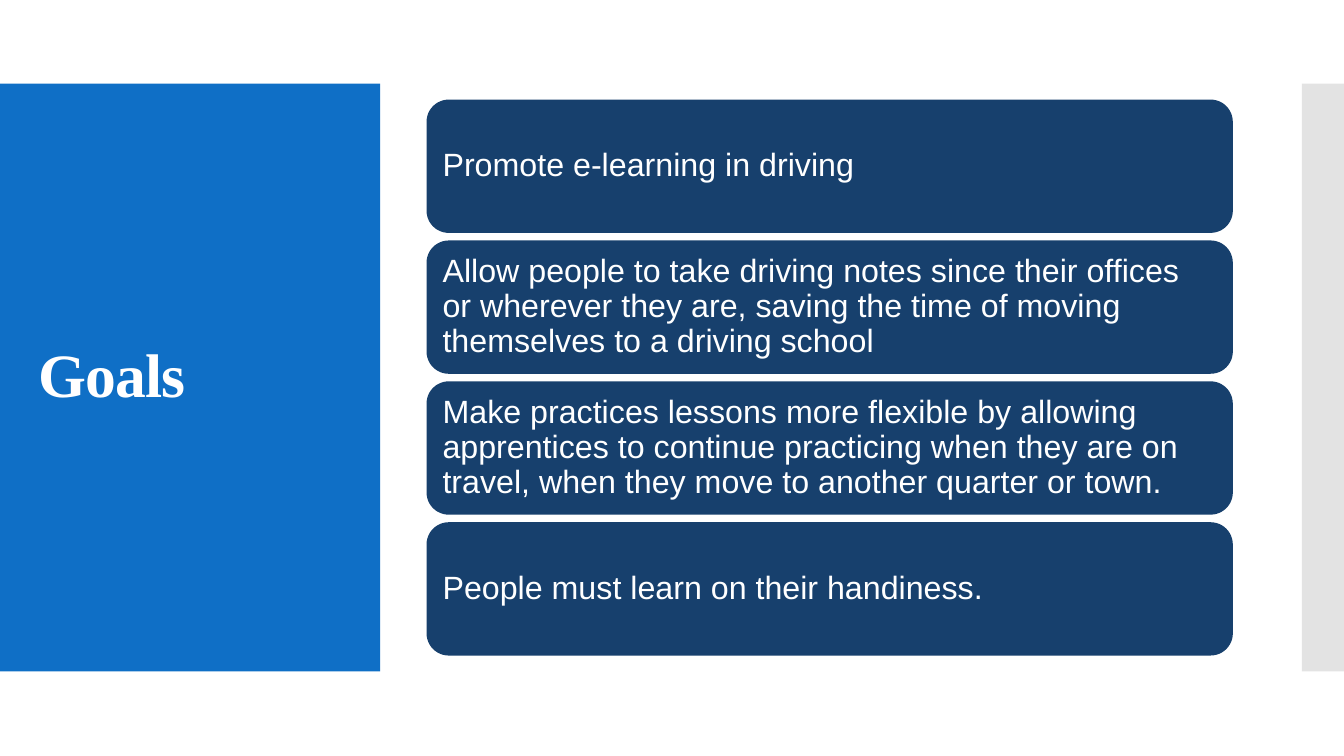
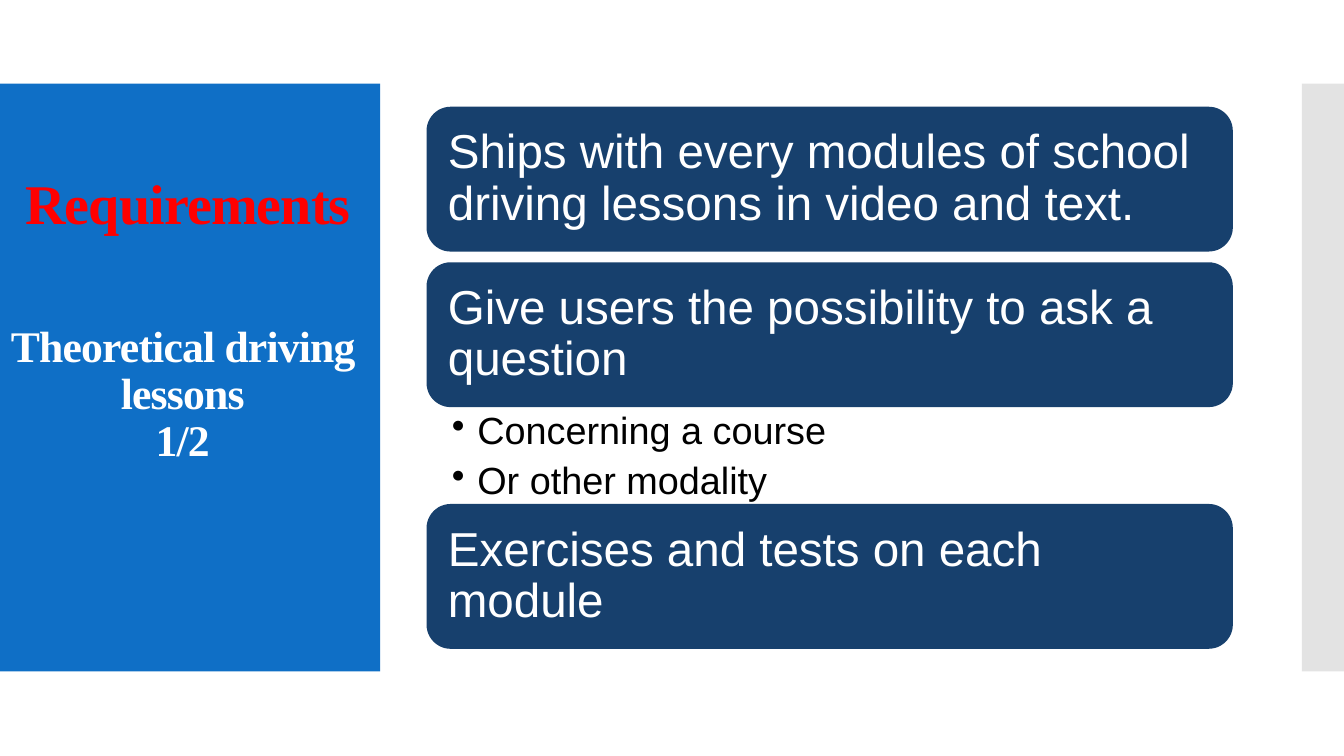
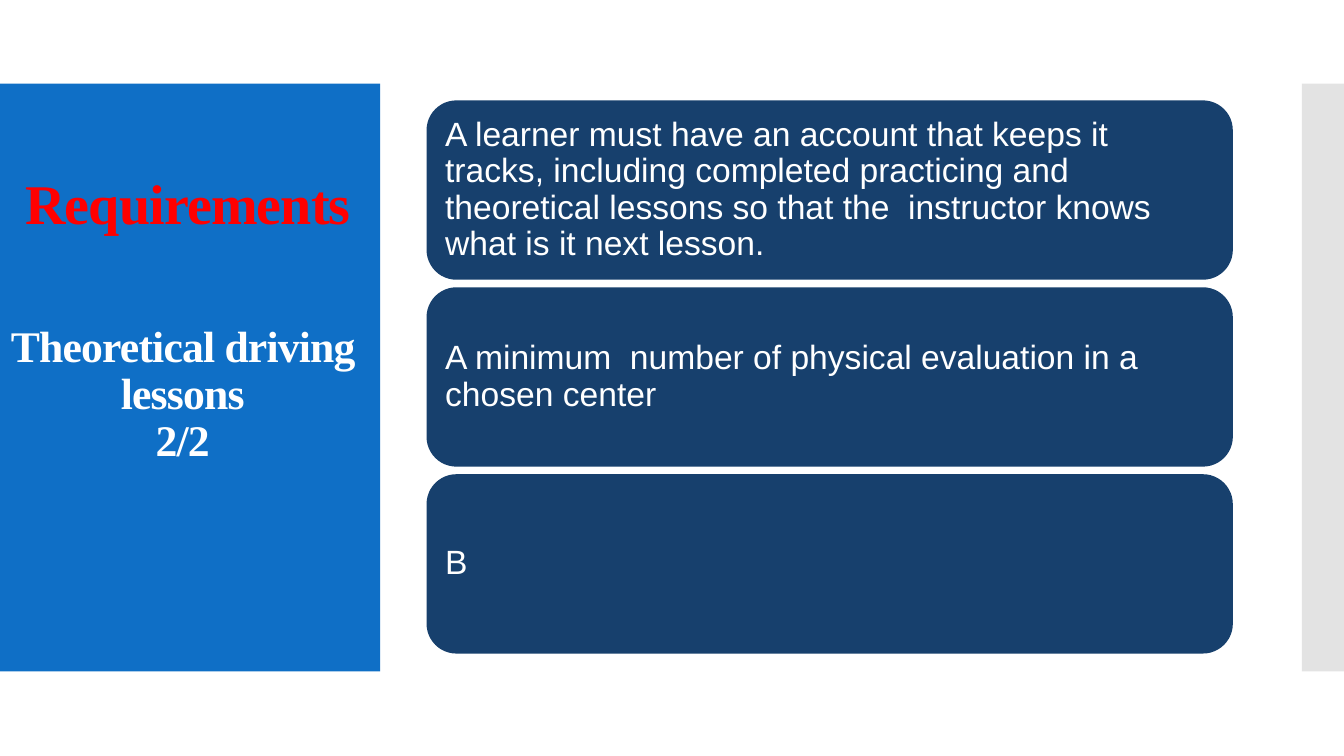
from dataclasses import dataclass

from lxml.etree import SubElement
from pptx import Presentation
from pptx.dml.color import RGBColor
from pptx.enum.shapes import MSO_SHAPE
from pptx.enum.text import MSO_ANCHOR, MSO_AUTO_SIZE, PP_ALIGN
from pptx.oxml.ns import qn
from pptx.shapes.autoshape import Shape
from pptx.slide import Slide, SlideLayout
from pptx.util import Cm, Pt


@dataclass(frozen=True)
class Theme:
    """Colours, fonts and type sizes of the deck."""

    panel: str = "0F6FC6"
    edge: str = "C8C8C8"
    card: str = "17406D"
    light: str = "FFFFFF"
    dark: str = "000000"
    accent: str = "FF0000"
    heading_font: str = "Times New Roman"
    body_font: str = "Arial"
    goal_title_size: float = 44
    title_size: float = 40
    subtitle_size: float = 31.2
    bullet_size: float = 27
    tracking: int = -60


@dataclass(frozen=True)
class Frame:
    """A rectangle in centimetres."""

    left: float
    top: float
    width: float
    height: float

    def lengths(self) -> tuple[Cm, Cm, Cm, Cm]:
        """Return left, top, width and height as lengths."""
        return Cm(self.left), Cm(self.top), Cm(self.width), Cm(self.height)


@dataclass(frozen=True)
class Card:
    """A rounded card and the bullets listed below it."""

    text: str
    bullets: tuple[str, ...] = ()


@dataclass(frozen=True)
class Stack:
    """A column of equal cards, measured in centimetres."""

    top: float
    height: float
    gap: float
    inset: float
    size: float
    cards: tuple[Card, ...]


@dataclass(frozen=True)
class Topic:
    """The content of one slide."""

    title: str
    stack: Stack
    subtitle: tuple[str, ...] = ()


THEME = Theme()
SLIDE_WIDTH, SLIDE_HEIGHT = 33.87, 19.05
PANEL = Frame(0, 2.11, 9.58, 14.81)
EDGE = Frame(32.81, 2.11, 1.06, 14.81)
GOAL_TITLE = Frame(0.71, 3.12, 8.18, 12.78)
TITLE = Frame(0, 3.12, 9.47, 4.17)
SUBTITLE = Frame(-0.13, 7.87, 9.47, 4.17)
CARD_LEFT, CARD_WIDTH = 10.75, 20.32
BULLETS_HEIGHT = 2.44
BULLET_INDENT = 0.64

TOPICS = (
    Topic("Goals", Stack(2.51, 3.36, 0.19, 0.24, 23, (
        Card("Promote e-learning in driving"),
        Card("Allow people to take driving notes since their offices or wherever "
             "they are, saving the time of moving themselves to a driving school"),
        Card("Make practices lessons more flexible by allowing apprentices to continue "
             "practicing when they are on travel, when they move to another quarter or town."),
        Card("People must learn on their handiness."),
    ))),
    Topic("Requirements", Stack(2.69, 3.65, 0.27, 0.36, 34, (
        Card("Ships with every modules of school driving lessons in video and text."),
        Card("Give users the possibility to ask a question",
             ("Concerning a course", "Or other modality")),
        Card("Exercises and tests on each module"),
    )), ("Theoretical driving lessons", "1/2")),
    Topic("Requirements", Stack(2.53, 4.52, 0.19, 0.25, 24, (
        Card("A learner must have an account that keeps it tracks, including completed "
             "practicing and  theoretical lessons so that the  instructor knows what is "
             "it next lesson."),
        Card("A minimum  number of physical evaluation in a chosen center"),
        Card("B"),
    )), ("Theoretical driving lessons", "2/2")),
)


def write_text(box: Shape, *lines: str, size: float, color: str = THEME.light,
               font: str = THEME.body_font, bold: bool = False, tracking: int = 0,
               align: PP_ALIGN = PP_ALIGN.LEFT, anchor: MSO_ANCHOR = MSO_ANCHOR.MIDDLE,
               space_after: float = 0,
               insets: tuple[float, float] = (0.25, 0.13)) -> None:
    """Fill a shape with one formatted paragraph per line."""
    frame = box.text_frame
    frame.word_wrap = True
    frame.auto_size = MSO_AUTO_SIZE.NONE
    frame.vertical_anchor = anchor
    frame.margin_left = frame.margin_right = Cm(insets[0])
    frame.margin_top = frame.margin_bottom = Cm(insets[1])
    for index, line in enumerate(lines):
        para = frame.add_paragraph() if index else frame.paragraphs[0]
        para.alignment = align
        para.line_spacing = 0.9
        para.space_after = Pt(space_after)
        span = para.add_run()
        span.text = line
        span.font.name = font
        span.font.size = Pt(size)
        span.font.bold = bold
        span.font.color.rgb = RGBColor.from_string(color)
    if tracking:
        for properties in box.element.iter(qn("a:rPr")):
            properties.set("spc", str(tracking))


def write_heading(box: Shape, *lines: str, size: float, color: str = THEME.light,
                  align: PP_ALIGN = PP_ALIGN.CENTER) -> None:
    """Fill a shape with text in the heading style."""
    write_text(box, *lines, size=size, color=color, align=align, bold=True,
               font=THEME.heading_font, tracking=THEME.tracking)


def add_block(page: Slide, frame: Frame, color: str,
              kind: MSO_SHAPE = MSO_SHAPE.RECTANGLE) -> Shape:
    """Draw a flat filled shape without outline."""
    box = page.shapes.add_shape(kind, *frame.lengths())
    box.shadow.inherit = False
    box.fill.solid()
    box.fill.fore_color.rgb = RGBColor.from_string(color)
    box.line.fill.background()
    return box


def add_bands(page: Slide, layout: SlideLayout) -> None:
    """Draw the side bands and move them behind everything on the layout."""
    panel = add_block(page, PANEL, THEME.panel)
    edge = add_block(page, EDGE, THEME.edge)
    tint = next(edge.element.iter(qn("a:srgbClr")))
    SubElement(tint, qn("a:alpha")).set("val", "50000")
    for index, band in enumerate((panel, edge)):
        next(band.element.iter(qn("p:cNvPr"))).set("id", str(101 + index))
        layout.shapes.element.insert(2 + index, band.element)


def add_bullets(page: Slide, frame: Frame, lines: tuple[str, ...]) -> None:
    """Draw a bulleted list."""
    box = page.shapes.add_textbox(*frame.lengths())
    write_text(box, *lines, size=THEME.bullet_size, color=THEME.dark,
               anchor=MSO_ANCHOR.TOP, space_after=6.2, insets=(BULLET_INDENT, 0.13))
    for properties in box.element.iter(qn("a:pPr")):
        properties.set("marL", str(Cm(BULLET_INDENT)))
        properties.set("indent", str(-Cm(BULLET_INDENT)))
        SubElement(properties, qn("a:buChar")).set("char", "•")


def add_stack(page: Slide, stack: Stack) -> None:
    """Draw the cards from top to bottom."""
    top = stack.top
    for card in stack.cards:
        frame = Frame(CARD_LEFT, top, CARD_WIDTH, stack.height)
        box = add_block(page, frame, THEME.card, MSO_SHAPE.ROUNDED_RECTANGLE)
        write_text(box, card.text, size=stack.size, insets=(stack.inset, stack.inset))
        top += stack.height
        if card.bullets:
            add_bullets(page, Frame(CARD_LEFT, top, CARD_WIDTH, BULLETS_HEIGHT), card.bullets)
            top += BULLETS_HEIGHT
        else:
            top += stack.gap


def add_title(page: Slide, topic: Topic) -> None:
    """Place the title and, if there is one, the subtitle on the panel."""
    title = page.shapes.title
    frame = TITLE if topic.subtitle else GOAL_TITLE
    title.left, title.top, title.width, title.height = frame.lengths()
    if topic.subtitle:
        write_heading(title, topic.title, size=THEME.title_size, color=THEME.accent)
        box = page.shapes.add_textbox(*SUBTITLE.lengths())
        write_heading(box, *topic.subtitle, size=THEME.subtitle_size)
    else:
        write_heading(title, topic.title, size=THEME.goal_title_size, align=PP_ALIGN.LEFT)


def main() -> None:
    """Build and save the deck."""
    deck = Presentation()
    deck.slide_width, deck.slide_height = Cm(SLIDE_WIDTH), Cm(SLIDE_HEIGHT)
    layout = deck.slide_layouts[5]
    pages = [deck.slides.add_slide(layout) for _ in TOPICS]
    add_bands(pages[0], layout)
    for page, topic in zip(pages, TOPICS):
        add_title(page, topic)
        add_stack(page, topic.stack)
    deck.save("out.pptx")


if __name__ == "__main__":
    main()
